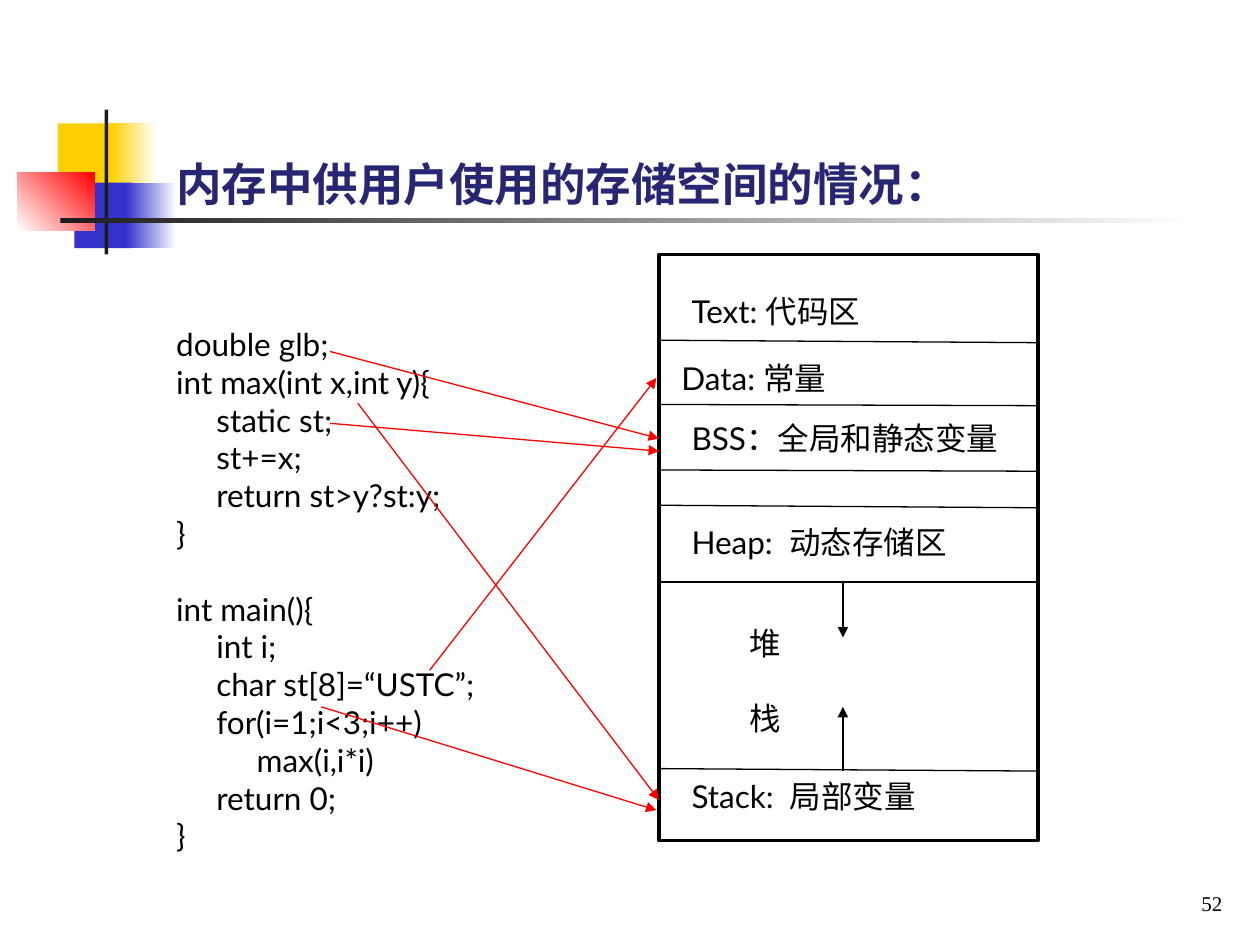
from lxml.etree import SubElement
from pptx import Presentation
from pptx.dml.color import RGBColor
from pptx.enum.shapes import MSO_CONNECTOR, MSO_SHAPE
from pptx.enum.text import MSO_ANCHOR, MSO_AUTO_SIZE, PP_ALIGN
from pptx.oxml.ns import qn
from pptx.util import Inches, Pt

BLACK = RGBColor(0, 0, 0)
WHITE = RGBColor(255, 255, 255)
RED = RGBColor(255, 0, 0)
YELLOW = RGBColor(0xFF, 0xCF, 0x01)
BLUE = RGBColor(0x33, 0x33, 0xCC)
CHARCOAL = RGBColor(0x1C, 0x1C, 0x1C)
NAVY = RGBColor(0x26, 0x26, 0x73)
CHINESE_FONT = "Noto Sans CJK SC"

presentation = Presentation()
presentation.slide_width = Inches(10)
presentation.slide_height = Inches(7.5)
COLUMN = presentation.slide_width / 100
ROW = presentation.slide_height / 75
slide = presentation.slides.add_slide(presentation.slide_layouts[6])


def add_text(text, left, top, width, height, font="Lato", size=18, color=BLACK, bold=False,
             align=PP_ALIGN.LEFT, anchor=MSO_ANCHOR.TOP, line_spacing=None, gaps=()):
    box = slide.shapes.add_textbox(int(left * COLUMN), int(top * ROW), int(width * COLUMN), int(height * ROW))
    frame = box.text_frame
    frame.word_wrap = True
    frame.auto_size = MSO_AUTO_SIZE.NONE
    frame.vertical_anchor = anchor
    frame.text = text
    for index, paragraph in enumerate(frame.paragraphs):
        paragraph.alignment = align
        if line_spacing:
            paragraph.line_spacing = line_spacing
        if index in gaps:
            paragraph.space_before = Pt(size * 1.2)
        for run in paragraph.runs:
            run.font.name = font
            run.font.size = Pt(size)
            run.font.bold = bold
            run.font.color.rgb = color
            SubElement(run.font._element, qn("a:ea")).set("typeface", CHINESE_FONT)


def add_line(start, end, color=BLACK, arrow=False):
    line = slide.shapes.add_connector(
        MSO_CONNECTOR.STRAIGHT,
        int(start[0] * COLUMN), int(start[1] * ROW), int(end[0] * COLUMN), int(end[1] * ROW))
    line.line.color.rgb = color
    line.line.width = Pt(0.75)
    if arrow:
        SubElement(line.line._get_or_add_ln(), qn("a:tailEnd")).set("type", "triangle")
    SubElement(line._element.spPr, qn("a:effectLst"))


MEMORY_LEFT, MEMORY_RIGHT = 52.3, 82.4
rectangles = [
    (4.6, 9.8, 4.8, 5.2, [YELLOW], 0),
    (8.8, 9.8, 3.6, 5.2, [YELLOW, WHITE], 0),
    (5.9, 14.5, 4.6, 5.2, [BLUE], 0),
    (10, 14.5, 4, 5.2, [BLUE, WHITE], 0),
    (1.4, 13.7, 6.1, 4.6, [WHITE, RED], 45),
    (8.3, 8.7, 0.3, 11.5, [CHARCOAL], 0),
    (4.8, 17.3, 90, 0.4, [CHARCOAL, WHITE], 0),
    (MEMORY_LEFT, 20.2, MEMORY_RIGHT - MEMORY_LEFT, 46.5, [WHITE], 0),
]
for left, top, width, height, colors, angle in rectangles:
    shape = slide.shapes.add_shape(
        MSO_SHAPE.RECTANGLE, int(left * COLUMN), int(top * ROW), int(width * COLUMN), int(height * ROW))
    shape.shadow.inherit = False
    shape.line.fill.background()
    if len(colors) == 1:
        shape.fill.solid()
        shape.fill.fore_color.rgb = colors[0]
    else:
        shape.fill.gradient()
        shape.fill.gradient_angle = angle
        for stop, color in zip(shape.fill.gradient_stops, colors):
            stop.color.rgb = color
memory = shape
memory.line.color.rgb = BLACK
memory.line.width = Pt(2)

add_text("52", 85.4, 68.2, 12.6, 5, font="Times New Roman", size=12,
         align=PP_ALIGN.RIGHT, anchor=MSO_ANCHOR.BOTTOM)
add_text("内存中供用户使用的存储空间的情况：", 13, 12.4, 88.3, 4.9, font=CHINESE_FONT, size=26,
         color=NAVY, bold=True, align=PP_ALIGN.JUSTIFY, line_spacing=0.9)

for left_row, right_row in [(27, 27.2), (32.1, 32.2), (37.3, 37.4), (40.1, 40.3), (46.2, 46.2), (61, 61.2)]:
    add_line((MEMORY_LEFT, left_row), (MEMORY_RIGHT, right_row))

for label, left, top in [
    ("Text: 代码区", 53.9, 22.7),
    ("Data: 常量", 53.1, 28),
    ("BSS：全局和静态变量", 53.9, 32.8),
    ("Heap:  动态存储区", 53.9, 41),
    ("Stack:  局部变量", 53.9, 61.2),
]:
    add_text(label, left, top, 28.5, 4)
add_text("堆\n栈", 58.5, 49, 6.7, 10, gaps=[1])

for start_row, end_row in [(46.2, 50.6), (61.2, 56.1)]:
    add_line((66.9, start_row), (66.9, end_row), arrow=True)

CODE = """double glb;
int max(int x,int y){
     static st;
     st+=x;
     return st>y?st:y;
}
int main(){
     int i;
     char st[8]=“USTC”;
     for(i=1;i<3;i++)
          max(i,i*i)
     return 0;
}"""
add_text(CODE, 13, 25.3, 33.4, 43, gaps=[6])

for start, end in [
    ((26.2, 27.9), (52.3, 34.8)),
    ((28.4, 32), (52.3, 63.5)),
    ((26.2, 33.6), (52.3, 35.8)),
    ((34.1, 53.2), (52.1, 30)),
    ((25.5, 56.1), (52.1, 64.3)),
]:
    add_line(start, end, color=RED, arrow=True)

presentation.save("out.pptx")
